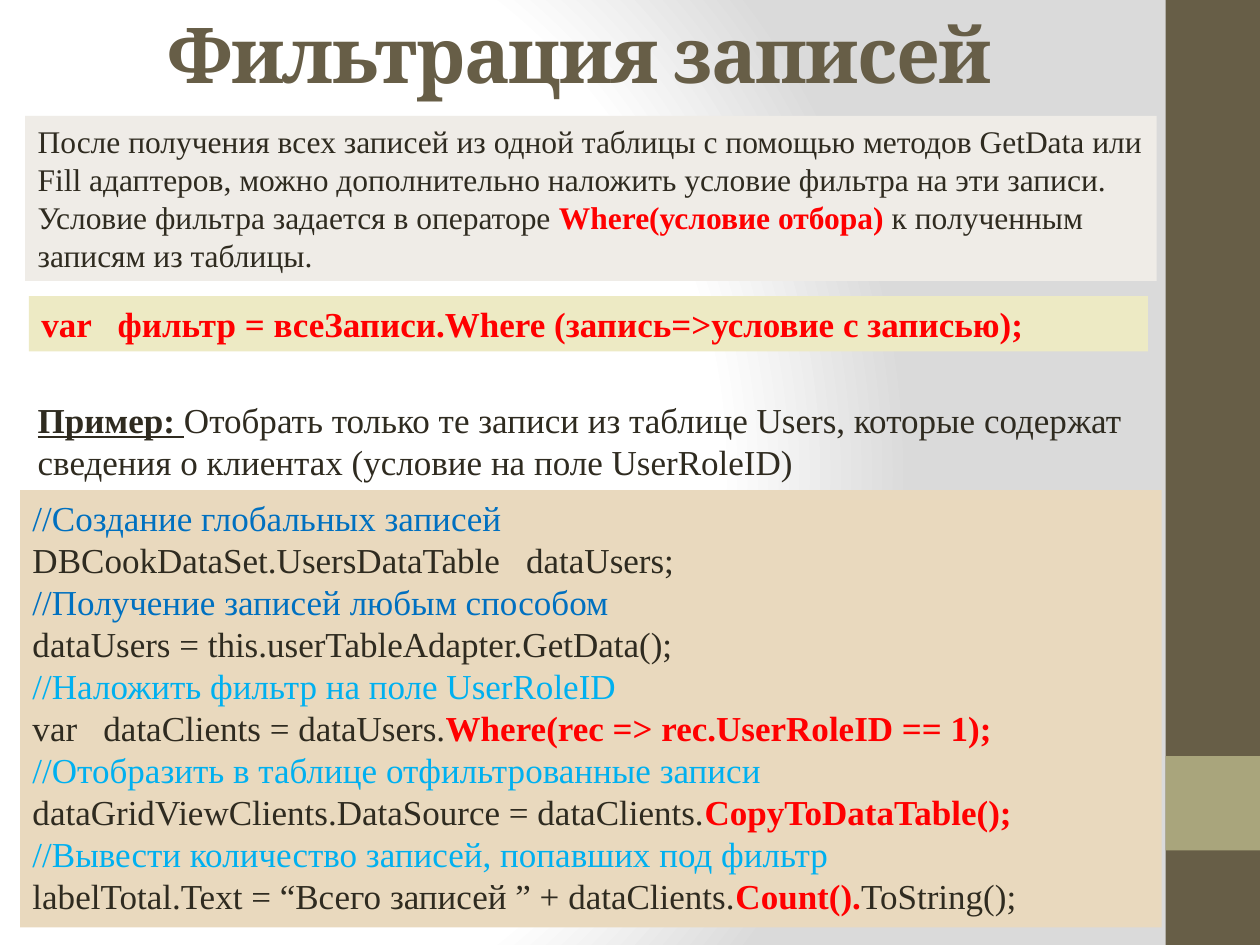
import pptx
import pptx.util
import pptx.oxml
import pptx.oxml.ns
from pptx.dml.color import RGBColor
from pptx.enum.shapes import MSO_SHAPE
from pptx.enum.text import MSO_ANCHOR, MSO_AUTO_SIZE, PP_ALIGN

INK = RGBColor(0x2F, 0x2B, 0x20)
RED = RGBColor(0xFF, 0, 0)
BLUE = RGBColor(0, 0x70, 0xC0)
SKY = RGBColor(0, 0xB0, 0xF0)
BROWN = RGBColor(0x67, 0x5E, 0x47)
OLIVE = RGBColor(0xA9, 0xA5, 0x7C)
GREY = RGBColor(0xEF, 0xEC, 0xE7)
CREAM = RGBColor(0xED, 0xEA, 0xC4)
SAND = RGBColor(0xE9, 0xD9, 0xBE)
SERIF = "Times New Roman"

# Run styles
PLAIN = {"color": INK}
KEY = {"color": RED, "bold": True}
HEAD = {"color": INK, "bold": True, "under": True}
NOTE = {"color": BLUE}
STEP = {"color": SKY}

TITLE = "Фильтрация записей"
INTRO = [[
    ("После получения всех записей из одной таблицы с помощью методов GetData "
     "или Fill адаптеров, можно дополнительно наложить условие фильтра на эти "
     "записи. Условие фильтра задается в операторе ", PLAIN),
    ("Where(условие отбора) ", KEY),
    ("к полученным записям из таблицы.", PLAIN),
]]
SYNTAX = [[("var   фильтр = всеЗаписи.Where (запись=>условие с записью);", KEY)]]
TASK = [[
    ("Пример: ", HEAD),
    ("Отобрать только те записи из таблице Users, которые содержат сведения "
     "о клиентах (условие на поле UserRoleID)", PLAIN),
]]
CODE = [
    [("//Создание глобальных записей", NOTE)],
    [("DBCookDataSet.UsersDataTable   dataUsers;", PLAIN)],
    [("//Получение записей любым способом", NOTE)],
    [("dataUsers = this.userTableAdapter.GetData();", PLAIN)],
    [("//Наложить фильтр на поле UserRoleID", STEP)],
    [("var   dataClients = dataUsers.", PLAIN),
     ("Where(rec => rec.UserRoleID == 1);", KEY)],
    [("//Отобразить в таблице отфильтрованные записи", STEP)],
    [("dataGridViewClients.DataSource = dataClients.", PLAIN),
     ("CopyToDataTable();", KEY)],
    [("//Вывести количество записей, попавших под фильтр", STEP)],
    [("labelTotal.Text = “Всего записей ” + dataClients.", PLAIN),
     ("Count().", KEY), ("ToString();", PLAIN)],
]

# Place (left, top, width, height), fill, text size, paragraphs
PANELS = [
    ((0.2, 0.92, 8.98, 1.31), GREY, 18, INTRO),
    ((0.16, 3.89, 9.06, 3.47), SAND, 20, CODE),
    ((0.2, 3.11, 8.91, 0.77), None, 20, TASK),
    ((0.23, 2.35, 8.88, 0.44), CREAM, 20, SYNTAX),
]
WIDE, HIGH, BAR = 10, 7.5, 0.75
STOPS = [(0, "FFFFFF"), (75, "FFFFFF"), (100, "DADADA")]


def inches(place):
    return [pptx.util.Inches(n) for n in place]


def write(par, text, size=20, font=SERIF, color=INK, bold=False, under=False):
    run = par.add_run()
    run.text = text
    run.font.size = pptx.util.Pt(size)
    run.font.name = font
    run.font.color.rgb = color
    run.font.bold = bold
    run.font.underline = under
    return run


def block(slide, place, fill):
    shape = slide.shapes.add_shape(MSO_SHAPE.RECTANGLE, *inches(place))
    shape.shadow.inherit = False
    shape.line.fill.background()
    shape.fill.solid()
    shape.fill.fore_color.rgb = fill
    return shape


def panel(slide, place, fill, size, pars):
    if fill is None:
        shape = slide.shapes.add_textbox(*inches(place))
    else:
        shape = block(slide, place, fill)
    frame = shape.text_frame
    frame.word_wrap = True
    frame.vertical_anchor = MSO_ANCHOR.TOP
    frame.auto_size = MSO_AUTO_SIZE.SHAPE_TO_FIT_TEXT
    for i, runs in enumerate(pars):
        par = frame.add_paragraph() if i else frame.paragraphs[0]
        par.alignment = PP_ALIGN.LEFT
        for text, style in runs:
            write(par, text, size=size, **style)


def backdrop(slide):
    """Fill the background with a radial gradient."""
    slide.background.fill.solid()
    props = slide.element.find(".//" + pptx.oxml.ns.qn("p:bgPr"))
    stops = "".join(
        f'<a:gs pos="{pos * 1000}"><a:srgbClr val="{tone}"/></a:gs>'
        for pos, tone in STOPS)
    props.replace(props[0], pptx.oxml.parse_xml(
        f'<a:gradFill {pptx.oxml.ns.nsdecls("a")} rotWithShape="1">'
        f'<a:gsLst>{stops}</a:gsLst><a:path path="circle">'
        '<a:fillToRect l="20000" t="50000" r="100000" b="50000"/>'
        '</a:path></a:gradFill>'))


def heading(slide):
    title = slide.shapes.title
    title.left, title.top, title.width, title.height = inches((0.1, 0, 9, 0.84))
    frame = title.text_frame
    frame.auto_size = MSO_AUTO_SIZE.NONE
    frame.vertical_anchor = MSO_ANCHOR.MIDDLE
    par = frame.paragraphs[0]
    par.alignment = PP_ALIGN.CENTER
    run = write(par, TITLE, size=44, font="Cambria", color=BROWN, bold=True)
    run.font._element.set("spc", "-100")


def main():
    deck = pptx.Presentation()
    deck.slide_width, deck.slide_height = inches((WIDE, HIGH))
    slide = deck.slides.add_slide(deck.slide_layouts[5])
    backdrop(slide)
    block(slide, (WIDE - BAR, 0, BAR, HIGH), BROWN)
    block(slide, (WIDE - BAR, HIGH - 2 * BAR, BAR, BAR), OLIVE)
    heading(slide)
    for item in PANELS:
        panel(slide, *item)
    deck.save("out.pptx")


if __name__ == "__main__":
    main()
